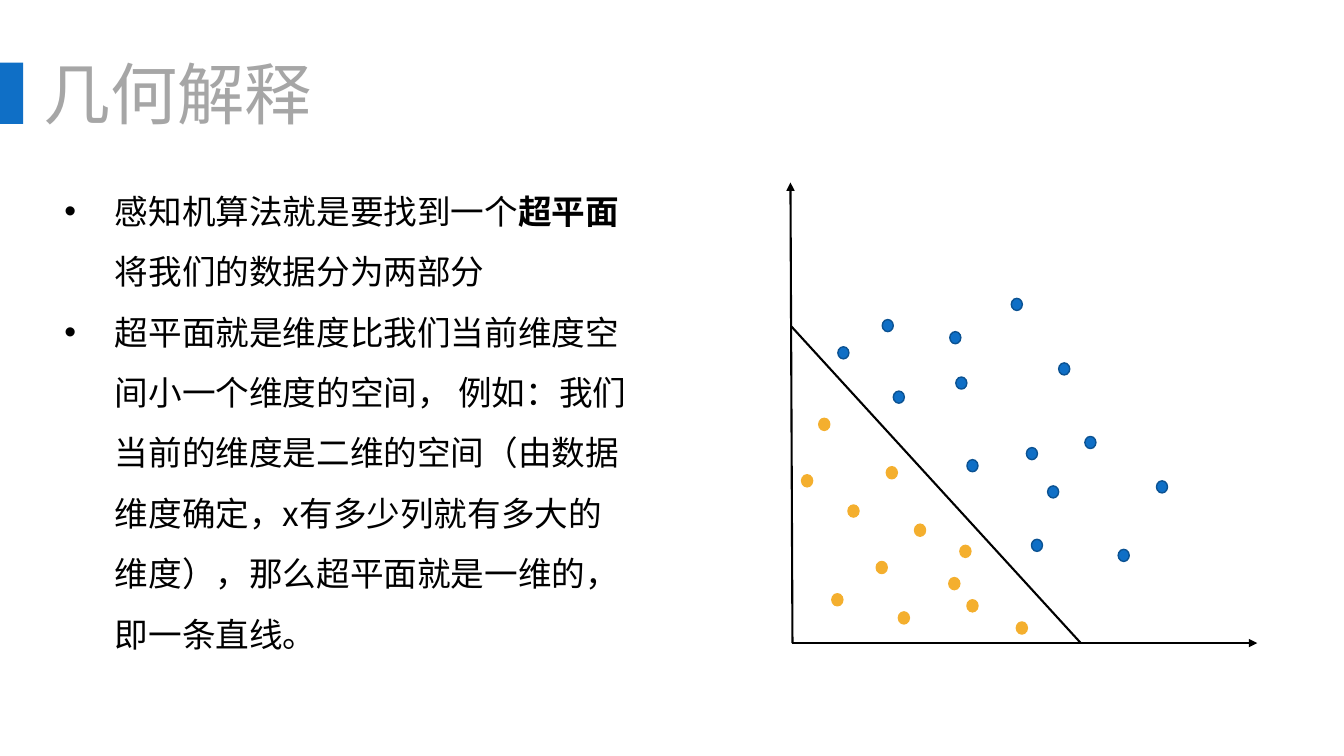
from lxml.etree import SubElement
from pptx import Presentation
from pptx.dml.color import RGBColor
from pptx.enum.shapes import MSO_CONNECTOR, MSO_SHAPE
from pptx.enum.text import MSO_AUTO_SIZE
from pptx.oxml.ns import qn
from pptx.util import Pt

PX = 9144  # 100 px to the inch
FONT = "Noto Sans CJK SC"
COLORS = {
    "blue": "0F6FC6", "dark_blue": "0B5292", "orange": "F4AF2E",
    "gray": "A6A6A6", "black": "000000",
}


def rgb(name):
    return RGBColor.from_string(COLORS[name])


def add_run(paragraph, text, color, **formats):
    """Add a run with the slide font set for Latin and East Asian text."""
    run = paragraph.add_run()
    run.text = text
    for name, value in {"name": FONT, **formats}.items():
        setattr(run.font, name, value)
    run.font.color.rgb = rgb(color)
    SubElement(run.font._element, qn("a:ea"), typeface=FONT)


presentation = Presentation()
presentation.slide_width, presentation.slide_height = 1333 * PX, 750 * PX
slide = presentation.slides.add_slide(presentation.slide_layouts[6])

# Bulleted explanation
bullets = [
    [("感知机算法就是要找到一个", False), ("超平面", True),
     ("将我们的数据分为两部分", False)],
    [("超平面就是维度比我们当前维度空间小一个维度的空间， 例如：我们当前的维度是"
      "二维的空间（由数据维度确定，x有多少列就有多大的维度），那么超平面就是一维的，"
      "即一条直线。", False)],
]
body = slide.shapes.add_textbox(54 * PX, 164 * PX, 578 * PX, 495 * PX)
frame = body.text_frame
frame.word_wrap = True
frame.auto_size = MSO_AUTO_SIZE.SHAPE_TO_FIT_TEXT
for index, runs in enumerate(bullets):
    paragraph = frame.paragraphs[0] if index == 0 else frame.add_paragraph()
    paragraph.line_spacing = 1.5
    properties = paragraph._p.get_or_add_pPr()
    properties.set("marL", str(50 * PX))
    properties.set("indent", str(-50 * PX))
    SubElement(properties, qn("a:buFont"), typeface="Arial")
    SubElement(properties, qn("a:buChar"), char="•")
    for text, bold in runs:
        add_run(paragraph, text, "black", size=Pt(24), bold=bold)

# Title with its accent bar
accent = slide.shapes.add_shape(MSO_SHAPE.RECTANGLE, 0, 62 * PX, 23 * PX, 61 * PX)
accent.shadow.inherit = False
accent.fill.solid()
accent.fill.fore_color.rgb = rgb("blue")
accent.line.fill.background()

title = slide.shapes.add_textbox(43 * PX, 52 * PX, 269 * PX, 81 * PX)
frame = title.text_frame
title_format = {
    "margin_left": 0, "margin_top": 0, "margin_right": 0, "margin_bottom": 0,
    "word_wrap": False, "auto_size": MSO_AUTO_SIZE.SHAPE_TO_FIT_TEXT,
}
for name, value in title_format.items():
    setattr(frame, name, value)
add_run(frame.paragraphs[0], "几何解释", "gray", size=Pt(48))

# Scatter diagram: axes, separating line, two classes of points
diagram = slide.shapes.add_group_shape()
lines = [
    ((786, 638, 1247, 638), True),
    ((786, 638, 784, 181), True),
    ((785, 324, 1072, 638), False),
]
for ends, has_arrow in lines:
    connector = diagram.shapes.add_connector(
        MSO_CONNECTOR.STRAIGHT, *(value * PX for value in ends))
    connector.line.color.rgb = rgb("black")
    connector.line.width = Pt(1.5)
    if has_arrow:
        SubElement(connector.line._get_or_add_ln(), qn("a:tailEnd"), type="triangle")
    SubElement(connector._element.spPr, qn("a:effectLst"))

point_classes = [
    ("blue", "dark_blue", [
        (831, 344), (875, 317), (886, 388), (942, 329), (1003, 296),
        (948, 374), (959, 456), (1050, 360), (1076, 433), (1018, 444),
        (1039, 482), (1023, 535), (1147, 477), (1109, 545)]),
    ("orange", "orange", [
        (812, 415), (907, 520), (891, 607), (841, 501), (879, 463),
        (795, 471), (941, 573), (825, 589), (869, 557), (1008, 617),
        (952, 541), (959, 595)]),
]
for fill, outline, positions in point_classes:
    for left, top in positions:
        point = diagram.shapes.add_shape(
            MSO_SHAPE.OVAL, left * PX, top * PX, 11 * PX, 12 * PX)
        point.shadow.inherit = False
        point.fill.solid()
        point.fill.fore_color.rgb = rgb(fill)
        point.line.color.rgb = rgb(outline)
        point.line.width = Pt(1)

presentation.save("out.pptx")
